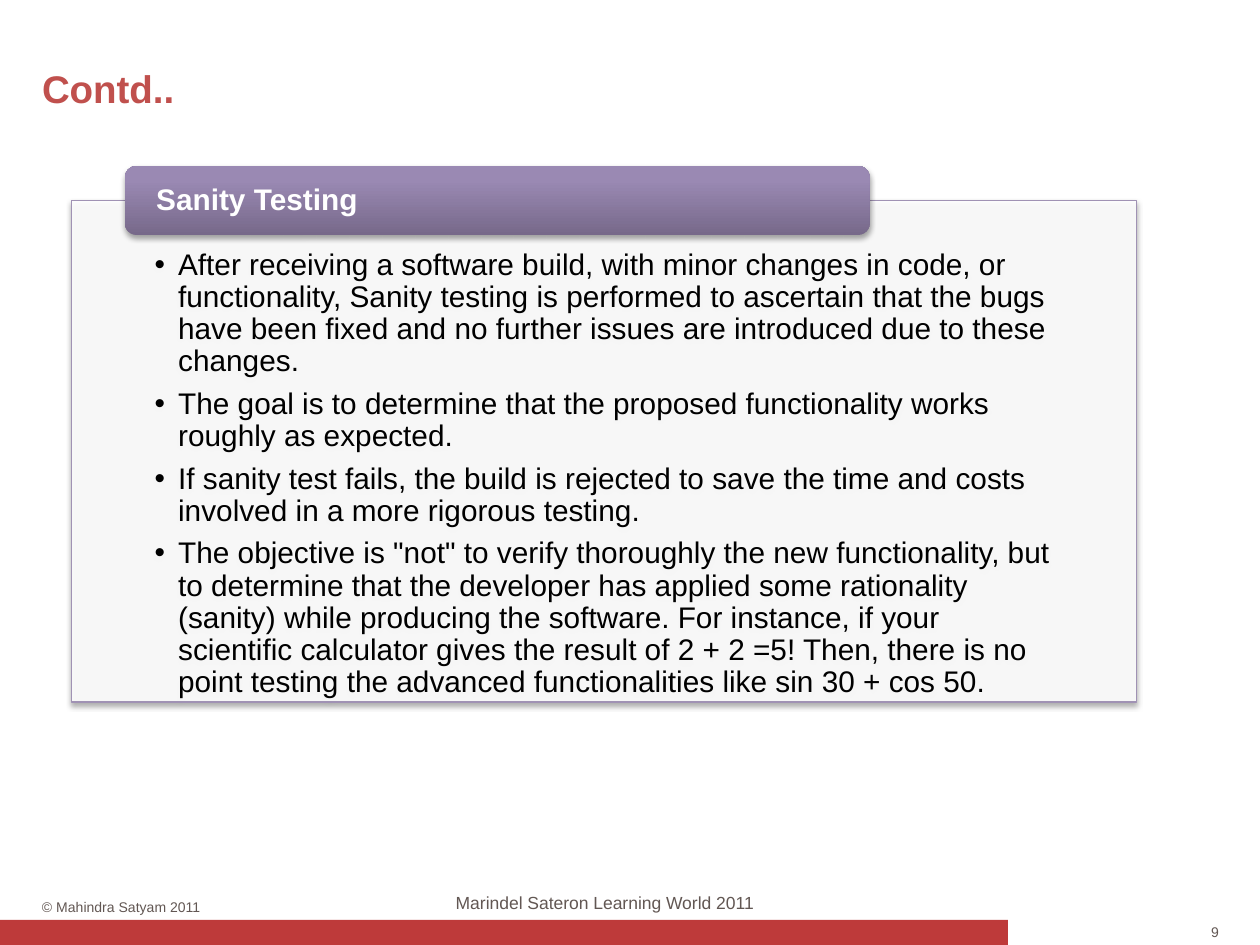
from copy import deepcopy

from lxml.etree import SubElement
from pptx import Presentation
from pptx.dml.color import RGBColor
from pptx.enum.shapes import MSO_SHAPE
from pptx.enum.text import MSO_ANCHOR, MSO_AUTO_SIZE, PP_ALIGN
from pptx.oxml.ns import qn
from pptx.util import Pt

RED = RGBColor(0xBE, 0x3A, 0x3A)
TITLE_RED = RGBColor(0xC0, 0x50, 0x4D)
GREY = RGBColor(0x62, 0x57, 0x53)
BLACK = RGBColor(0, 0, 0)
WHITE = RGBColor(0xFF, 0xFF, 0xFF)
PANEL_EDGE = RGBColor(0xA0, 0x92, 0xB4)
PURPLE_STOPS = (
    (0, RGBColor(0x77, 0x69, 0x8A)),
    (0.8, RGBColor(0x9A, 0x89, 0xB3)),
    (1, RGBColor(0x9B, 0x88, 0xB5)),
)

POINTS = (
    "After receiving a software build, with minor changes in code, or functionality, "
    "Sanity testing is performed to ascertain that the bugs have been fixed and no "
    "further issues are introduced due to these changes.",
    "The goal is to determine that the proposed functionality works roughly as expected.",
    "If sanity test fails, the build is rejected to save the time and costs involved in "
    "a more rigorous testing.",
    'The objective is "not" to verify thoroughly the new functionality, but to determine '
    "that the developer has applied some rationality (sanity) while producing the software. "
    "For instance, if your scientific calculator gives the result of 2 + 2 =5! Then, there "
    "is no point testing the advanced functionalities like sin 30 + cos 50.",
)


def set_frame(frame, insets=(0, 0, 0, 0), anchor=MSO_ANCHOR.TOP, wrap=True):
    """Set the insets (left, top, right, bottom), anchor and wrapping of a text frame."""
    frame.auto_size = MSO_AUTO_SIZE.NONE
    frame.word_wrap = wrap
    frame.vertical_anchor = anchor
    frame.margin_left, frame.margin_top, frame.margin_right, frame.margin_bottom = map(Pt, insets)


def format_paragraph(paragraph, text, size, color, bold=False, align=PP_ALIGN.LEFT):
    """Fill a paragraph and set its font and alignment."""
    paragraph.text = text
    paragraph.alignment = align
    font = paragraph.font
    font.name, font.size, font.bold = "Arial", Pt(size), bold
    font.color.rgb = color


def add_bullet(paragraph, indent):
    """Give a paragraph a hanging round bullet."""
    properties = paragraph._p.get_or_add_pPr()
    properties.set("marL", str(Pt(indent)))
    properties.set("indent", str(-Pt(indent)))
    SubElement(properties, qn("a:buFont"), typeface="Arial")
    SubElement(properties, qn("a:buChar"), char="•")


def add_block(slide, preset, box):
    """Add a preset shape without outline or inherited shadow."""
    block = slide.shapes.add_shape(preset, *map(Pt, box))
    block.shadow.inherit = False
    block.line.fill.background()
    return block


def add_soft_shadow(block):
    """Drop a soft black shadow below a shape."""
    effects = block._element.spPr.find(qn("a:effectLst"))
    shadow = SubElement(effects, qn("a:outerShdw"), blurRad=str(Pt(3.1)), dist=str(Pt(1.8)),
                        dir="5400000", rotWithShape="0")
    color = SubElement(shadow, qn("a:srgbClr"), val=str(BLACK))
    SubElement(color, qn("a:alpha"), val="35000")


def add_title(slide, text):
    """Place and format the title placeholder."""
    title = slide.shapes.title
    title.left, title.top, title.width, title.height = map(Pt, (24, 36.7, 672, 26.6))
    set_frame(title.text_frame, anchor=MSO_ANCHOR.BOTTOM)
    format_paragraph(title.text_frame.paragraphs[0], text, 22, TITLE_RED, bold=True)


def add_panel(slide):
    """Add the outlined panel with its bulleted points."""
    panel = add_block(slide, MSO_SHAPE.RECTANGLE, (41, 114.5, 608.4, 286.6))
    panel.fill.solid()
    panel.fill.fore_color.rgb = WHITE
    fill_color = panel._element.spPr.find(qn("a:solidFill")).find(qn("a:srgbClr"))
    SubElement(fill_color, qn("a:alpha"), val="90000")
    panel.line.color.rgb = PANEL_EDGE
    panel.line.width = Pt(0.75)
    add_soft_shadow(panel)
    frame = panel.text_frame
    set_frame(frame, (47.3, 28.1, 47.3, 9.4))
    for index, point in enumerate(POINTS):
        paragraph = frame.add_paragraph() if index else frame.paragraphs[0]
        add_bullet(paragraph, 13.5)
        paragraph.line_spacing = 0.9
        paragraph.space_after = Pt(6)
        format_paragraph(paragraph, point, 17, BLACK)


def add_heading(slide, text):
    """Add the rounded purple heading that overlaps the panel."""
    heading = add_block(slide, MSO_SHAPE.ROUNDED_RECTANGLE, (71.4, 94.9, 425.6, 39.4))
    heading.fill.gradient()
    heading.fill.gradient_angle = 90
    stop_list = heading._element.spPr.find(qn("a:gradFill")).find(qn("a:gsLst"))
    stop_list.append(deepcopy(stop_list[-1]))
    for stop, (position, color) in zip(heading.fill.gradient_stops, PURPLE_STOPS):
        stop.position = position
        stop.color.rgb = color
    add_soft_shadow(heading)
    set_frame(heading.text_frame, (16, 0, 16, 0), MSO_ANCHOR.MIDDLE)
    paragraph = heading.text_frame.paragraphs[0]
    paragraph.line_spacing = 0.9
    format_paragraph(paragraph, text, 17, WHITE, bold=True)


def add_label(slide, box, text, size, align, anchor=MSO_ANCHOR.TOP, wrap=True):
    """Add a small grey footer label."""
    label = slide.shapes.add_textbox(*map(Pt, box))
    set_frame(label.text_frame, anchor=anchor, wrap=wrap)
    format_paragraph(label.text_frame.paragraphs[0], text, size, GREY, align=align)


def add_footer(slide):
    """Add the red bar, page number, copyright line and course name."""
    bar = add_block(slide, MSO_SHAPE.RECTANGLE, (0, 525.6, 576, 14.4))
    bar.fill.solid()
    bar.fill.fore_color.rgb = RED
    add_label(slide, (686.6, 527.8, 10, 9.4), "9", 8, PP_ALIGN.RIGHT, MSO_ANCHOR.MIDDLE, False)
    add_label(slide, (24, 513.4, 110.9, 9.4), "© Mahindra Satyam 2011", 8, PP_ALIGN.LEFT)
    add_label(slide, (190, 509.8, 311, 12.2), "Marindel Sateron Learning World 2011", 10,
              PP_ALIGN.CENTER)


def main():
    """Build the slide and save it."""
    presentation = Presentation()
    presentation.slide_width, presentation.slide_height = Pt(720), Pt(540)
    slide = presentation.slides.add_slide(presentation.slide_layouts[5])
    add_footer(slide)
    add_title(slide, "Contd..")
    add_panel(slide)
    add_heading(slide, "Sanity Testing")
    presentation.save("out.pptx")


if __name__ == "__main__":
    main()
